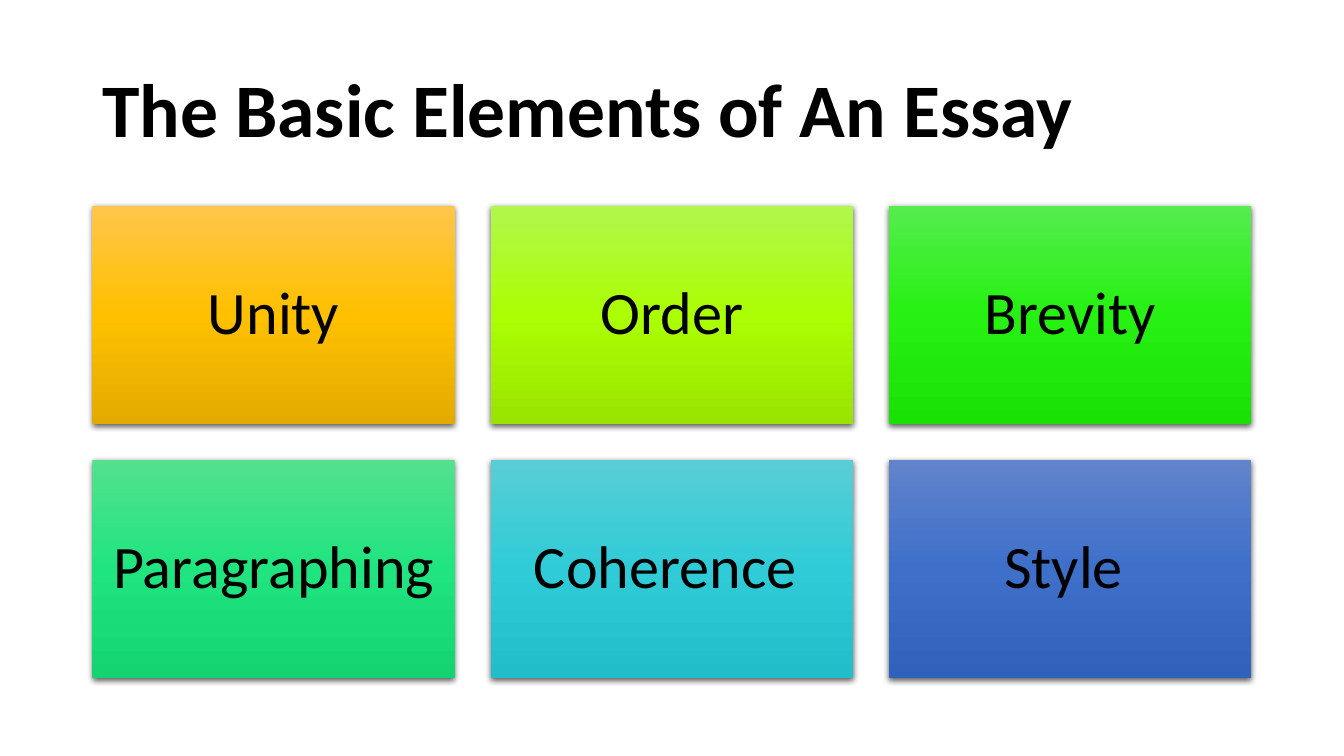
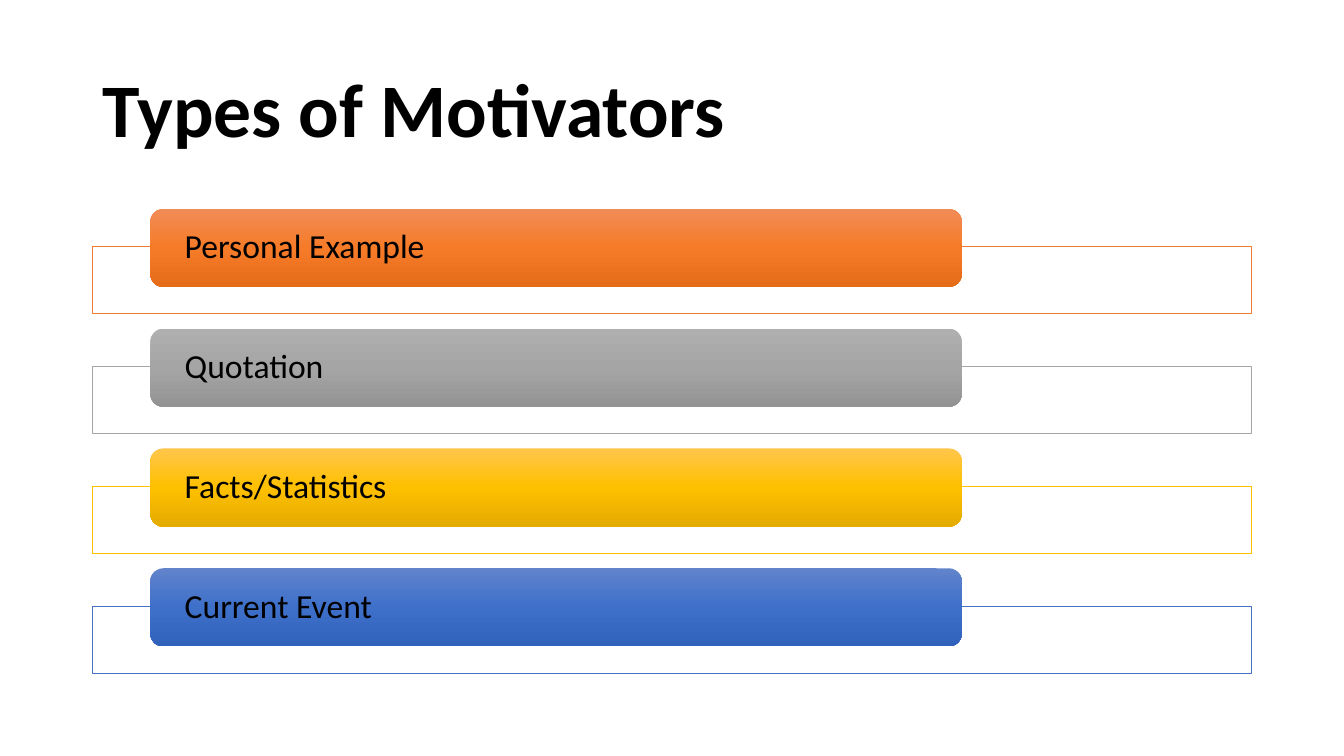
"""Builds two slides: essay elements as a card grid, motivators as a list of pills."""
from lxml.etree import SubElement as Sub
from copy import deepcopy
from pptx import Presentation
from pptx.dml.color import RGBColor
from pptx.enum.shapes import MSO_SHAPE as Kind
from pptx.enum.text import MSO_ANCHOR as Anchor, PP_ALIGN as Align
from pptx.oxml.ns import qn
from pptx.util import Cm, Pt

FONT, INK, WHITE = "Calibri", "000000", "FFFFFF"
GOLD = ("FFC64B", "FFC000", "E3AB00")
LIME = ("B1F74C", "ABFE03", "99E400")
GREEN = ("55EC4E", "26F112", "19E104")
MINT = ("53E18E", "20E47F", "13D471")
TEAL = ("59CDD6", "2FCCD7", "21BDC8")
BLUE = ("6183CB", "3E70CA", "3062BB")
ORANGE = ("F18C57", "F67B28", "E56C19")
GREY = ("AFAFAF", "A5A5A5", "939393")

CARDS = ("The Basic Elements of An Essay", [
    ("Unity", GOLD), ("Order", LIME), ("Brevity", GREEN),
    ("Paragraphing ", MINT), ("Coherence ", TEAL), ("Style ", BLUE),
])
PILLS = ("Types of Motivators", [
    ("Personal Example", ORANGE, "ED7D31"),
    ("Quotation", GREY, "A5A5A5"),
    ("Facts/Statistics", GOLD, "FFC000"),
    ("Current Event", BLUE, "4472C4"),
])

LEFT, WIDE = 2.33, 29.21
COLS, GAP, CARD_TOP, CARD_H = 3, 0.91, 5.19, 5.49
CARD_W = (WIDE - GAP * (COLS - 1)) / COLS
PITCH, FRAME_TOP, FRAME_H = 3.02, 6.22, 1.68
PILL_LEFT, PILL_TOP, PILL_W, PILL_H = 3.79, 5.26, 20.45, 1.97


def color(code):
    return RGBColor.from_string(code)


def write(shape, text, size, align=Align.LEFT, side=0.25, edge=0.13, bold=False):
    frame = shape.text_frame
    frame.word_wrap = True
    frame.vertical_anchor = Anchor.MIDDLE
    frame.margin_left = frame.margin_right = Cm(side)
    frame.margin_top = frame.margin_bottom = Cm(edge)
    para = frame.paragraphs[0]
    para.alignment = align
    para.line_spacing = 0.9
    run = para.add_run()
    run.text = text
    font = run.font
    font.name, font.size, font.bold = FONT, Pt(size), bold
    font.color.rgb = color(INK)


def place(slide, kind, *box):
    shape = slide.shapes.add_shape(kind, *map(Cm, box))
    shape.shadow.inherit = False
    shape.line.fill.background()
    return shape


def shade(shape, codes):
    fill = shape.fill
    fill.gradient()
    fill.gradient_angle = 270
    stops = shape._element.spPr.find(qn("a:gradFill")).find(qn("a:gsLst"))
    stops.append(deepcopy(stops[-1]))
    for stop, code, pos in zip(fill.gradient_stops, codes, (0, 0.5, 1)):
        stop.color.rgb = color(code)
        stop.position = pos


def lift(shape):
    effects = shape._element.spPr.find(qn("a:effectLst"))
    shadow = Sub(effects, qn("a:outerShdw"), blurRad=str(Pt(4.5)),
                 dist=str(Pt(1.5)), dir="5400000", algn="ctr", rotWithShape="0")
    tint = Sub(shadow, qn("a:srgbClr"), val=INK)
    Sub(tint, qn("a:alpha"), val="63000")


def start(deck, title):
    slide = deck.slides.add_slide(deck.slide_layouts[6])
    box = slide.shapes.add_textbox(Cm(LEFT), Cm(1.01), Cm(WIDE), Cm(3.68))
    write(box, title, 54, bold=True)
    return slide


def add_cards(deck, title, cards):
    slide = start(deck, title)
    for i, (text, codes) in enumerate(cards):
        row, col = divmod(i, COLS)
        card = place(slide, Kind.RECTANGLE, LEFT + col * (CARD_W + GAP),
                     CARD_TOP + row * (CARD_H + GAP), CARD_W, CARD_H)
        shade(card, codes)
        lift(card)
        write(card, text, 43, Align.CENTER, 0.46, 0.46)


def add_pills(deck, title, pills):
    slide = start(deck, title)
    for i, (text, codes, edge) in enumerate(pills):
        drop = i * PITCH
        frame = place(slide, Kind.RECTANGLE, LEFT, FRAME_TOP + drop, WIDE, FRAME_H)
        frame.fill.solid()
        frame.fill.fore_color.rgb = color(WHITE)
        frame.line.color.rgb = color(edge)
        frame.line.width = Pt(0.5)
        pill = place(slide, Kind.ROUNDED_RECTANGLE, PILL_LEFT, PILL_TOP + drop,
                     PILL_W, PILL_H)
        shade(pill, codes)
        write(pill, text, 24, side=0.77, edge=0)


def main():
    deck = Presentation()
    deck.slide_width, deck.slide_height = Cm(33.87), Cm(19.05)
    add_cards(deck, *CARDS)
    add_pills(deck, *PILLS)
    deck.save("out.pptx")


if __name__ == "__main__":
    main()
